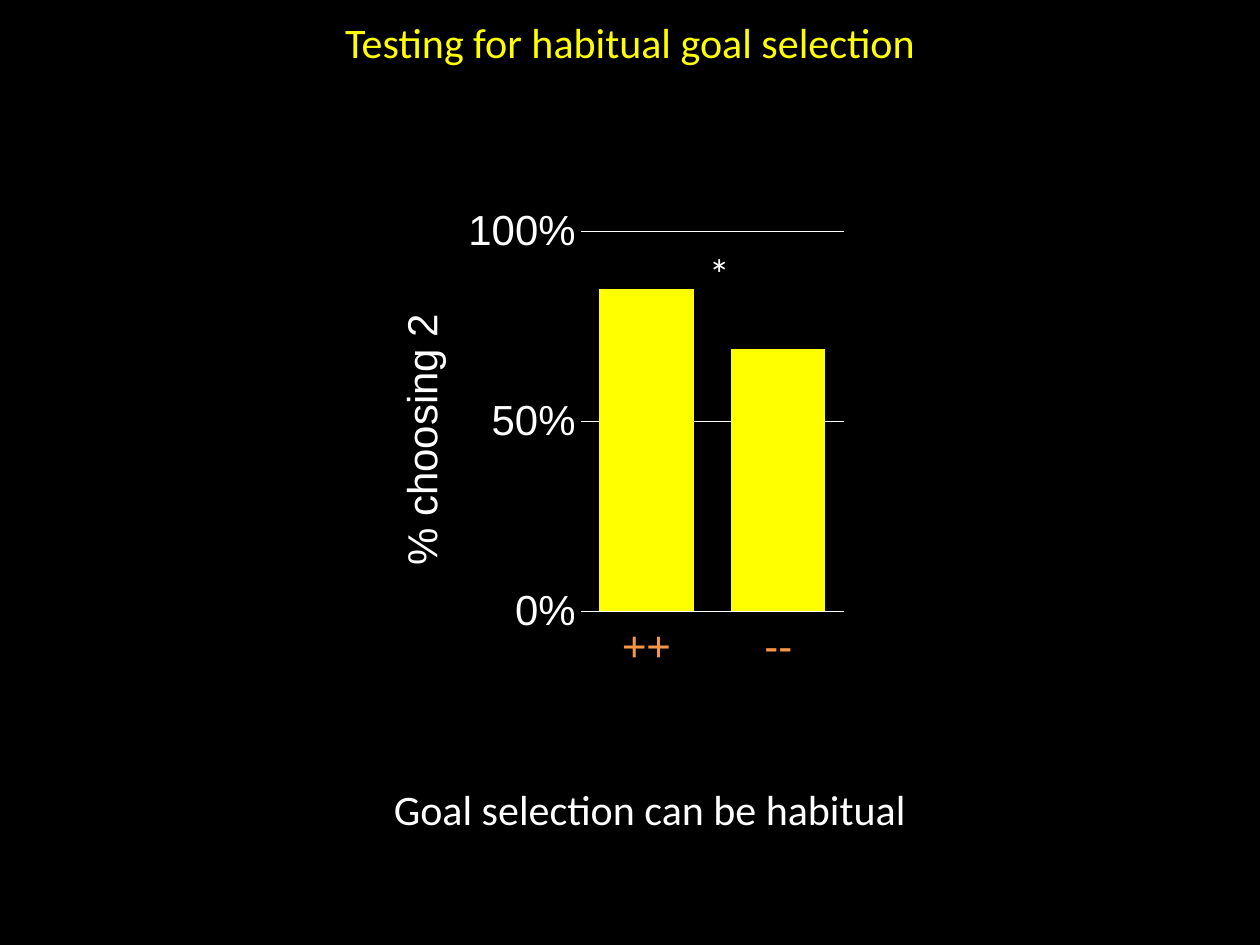
from lxml import etree
from pptx import Presentation
from pptx import util as u
from pptx.chart import data
from pptx.dml import color
from pptx.enum import chart as ch, text
from pptx.oxml import ns

COLORS = {"back": "000000", "accent": "FFFF00", "label": "F79646", "plain": "FFFFFF"}
PLOT = {"xMode": "edge", "yMode": "edge", "x": 0.43, "y": 0.087, "w": 0.57, "h": 0.777}


def rgb(name):
    """Return the named colour."""
    return color.RGBColor.from_string(COLORS[name])


def style_font(font, fill="plain", name="Arial", size=24):
    """Format a text or chart font."""
    font.name, font.size, font.bold = name, u.Pt(size), False
    font.color.rgb = rgb(fill)


def style_line(line):
    """Make a thin chart line."""
    line.color.rgb = rgb("plain")
    line.width = u.Pt(1)


def add_text(s, content, x, y, w, fill="plain", align=text.PP_ALIGN.LEFT, wrap=False):
    """Add one line of slide text."""
    sp = s.shapes.add_textbox(u.Pt(x), u.Pt(y), u.Pt(w), u.Pt(36))
    tf = sp.text_frame
    tf.word_wrap = wrap
    tf.auto_size = text.MSO_AUTO_SIZE.SHAPE_TO_FIT_TEXT
    p = tf.paragraphs[0]
    p.alignment = align
    r = p.add_run()
    r.text = content
    style_font(r.font, fill, "Calibri")


def place_plot(chart):
    """Fix the inner plot area as fractions of the chart."""
    area = chart._chartSpace.chart.plotArea
    for old in area.findall(ns.qn("c:layout")):
        area.remove(old)
    layout = etree.Element(ns.qn("c:layout"))
    manual = etree.SubElement(layout, ns.qn("c:manualLayout"))
    etree.SubElement(manual, ns.qn("c:layoutTarget"), val="inner")
    for key, value in PLOT.items():
        etree.SubElement(manual, ns.qn(f"c:{key}"), val=str(value))
    area.insert(0, layout)


def style_category_axis(axis):
    """Format the condition axis."""
    axis.major_tick_mark = ch.XL_TICK_MARK.NONE
    axis.tick_label_position = ch.XL_TICK_LABEL_POSITION.LOW
    style_font(axis.tick_labels.font, "label")
    style_line(axis.format.line)


def style_value_axis(axis, title):
    """Format the percentage axis and its upright title."""
    axis.minimum_scale, axis.maximum_scale, axis.major_unit = 0, 1, 0.5
    axis.major_tick_mark = ch.XL_TICK_MARK.NONE
    axis.tick_labels.number_format = "#,##0%"
    axis.tick_labels.number_format_is_linked = False
    style_font(axis.tick_labels.font)
    axis.format.line.fill.background()
    style_line(axis.major_gridlines.format.line)
    tf = axis.axis_title.text_frame
    tf._txBody.bodyPr.set("rot", "-5400000")
    r = tf.paragraphs[0].add_run()
    r.text = title
    style_font(r.font)


def add_column_chart(s, x, y, w, h):
    """Add the chart of choices by condition."""
    chart_data = data.CategoryChartData(number_format="0%")
    chart_data.categories = ["++", "--"]
    chart_data.add_series("Region 1", [0.85, 0.69])
    chart = s.shapes.add_chart(ch.XL_CHART_TYPE.COLUMN_CLUSTERED,
                               u.Pt(x), u.Pt(y), u.Pt(w), u.Pt(h), chart_data).chart
    chart.has_title = chart.has_legend = False
    style_font(chart.font, name="Calibri", size=10)
    plot = chart.plots[0]
    plot.gap_width, plot.vary_by_categories = 40, False
    fill = plot.series[0].format.fill
    fill.solid()
    fill.fore_color.rgb = rgb("accent")
    style_category_axis(chart.category_axis)
    style_value_axis(chart.value_axis, "% choosing 2")
    place_plot(chart)


def main():
    """Build and save the slide."""
    prs = Presentation()
    prs.slide_width, prs.slide_height = u.Pt(720), u.Pt(540)
    s = prs.slides.add_slide(prs.slide_layouts[6])
    s.background.fill.solid()
    s.background.fill.fore_color.rgb = rgb("back")
    add_text(s, "Testing for habitual goal selection", 0, 6, 720,
             fill="accent", align=text.PP_ALIGN.CENTER, wrap=True)
    add_column_chart(s, 218, 108, 265, 279.5)
    add_text(s, "*", 398, 138, 27)
    add_text(s, "Goal selection can be habitual", 218, 444, 310)
    prs.save("out.pptx")


if __name__ == "__main__":
    main()
